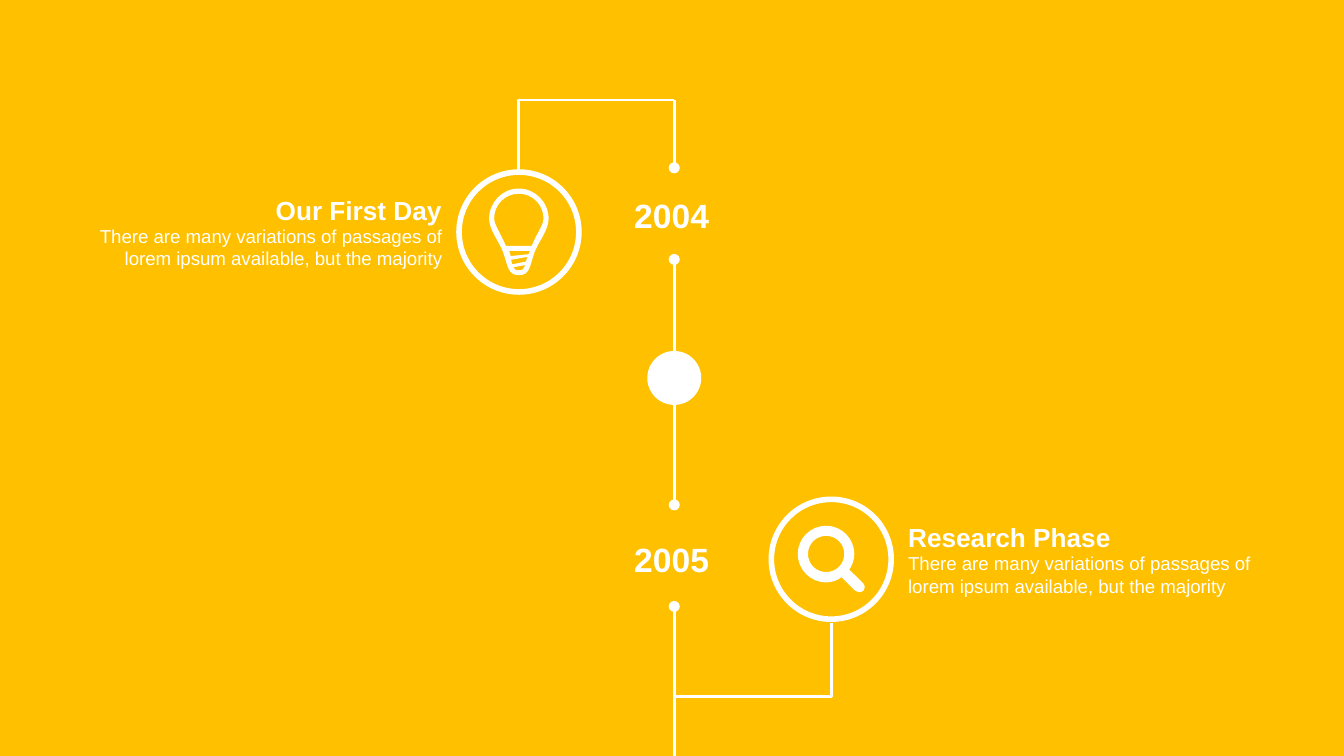
from lxml.etree import SubElement
from pptx import Presentation
from pptx.dml.color import RGBColor
from pptx.enum.shapes import MSO_CONNECTOR, MSO_SHAPE
from pptx.enum.text import MSO_ANCHOR, PP_ALIGN
from pptx.oxml.ns import qn
from pptx.util import Pt

WIDTH, HEIGHT = 720, 405
COLORS = {"background": "FFC000", "foreground": "FFFFFF"}
AXIS_X = 361.2
RING_SIZE = 64.2
BODY_WIDTH = 198.7
BODY_TEXT = "There are many variations of passages of lorem ipsum available, but the majority"

# Each contour is a start point, then segments of one point (line) or three (Bezier curve).
BULB = [
    [(277.9, 101),
     [(269.1, 101), (262, 108.4), (262, 117.2)],
     [(262, 123.2), (267.6, 129.6), (269.4, 134.8)],
     [(272.2, 142.6), (272, 147.4), (277.9, 147.4)],
     [(284, 147.4), (283.6, 143), (286.5, 134.8)],
     [(288.5, 129.6), (293.9, 123.2), (293.9, 117.2)],
     [(293.9, 108.4), (286.7, 101), (277.9, 101)]],
    [(284.8, 131.8), [(271.1, 131.8)],
     [(270.4, 130.3), (269.5, 128.4), (268.6, 126.6)],
     [(266.9, 123.2), (264.7, 119.6), (264.7, 117.2)],
     [(264.7, 109.6), (270.6, 103.8), (277.9, 103.8)],
     [(285.2, 103.8), (291.2, 109.6), (291.2, 117.2)],
     [(291.2, 119.6), (289, 123.2), (287.2, 126.6)],
     [(286.3, 128.4), (285.5, 130.3), (284.8, 131.8)]],
    [(272.8, 134.4), [(283.9, 134.4)], [(283.1, 136.2)], [(273.6, 137.2)]],
    [(273.8, 139.2), [(282.6, 137.6)], [(281.7, 140.2)], [(274.4, 141.6)]],
    [(277.9, 144.8),
     [(276.4, 144.8), (275.6, 144.6), (275, 143.2)], [(281.4, 142)],
     [(280.2, 144.6), (280, 144.8), (277.9, 144.8)]],
]
MAGNIFIER = [
    [(460.8, 317.3),
     [(459.7, 317.3), (458.7, 316.9), (457.9, 316.2)], [(450.9, 309.2)],
     [(448.6, 311), (445.7, 312), (442.6, 312)],
     [(434.2, 312), (427.4, 305.2), (427.4, 296.8)],
     [(427.4, 288.5), (434.2, 281.7), (442.6, 281.7)],
     [(450.9, 281.7), (457.7, 288.5), (457.7, 296.8)],
     [(457.7, 299.8), (456.7, 302.7), (455, 305.2)], [(462.2, 312.2)],
     [(462.9, 312.9), (463.3, 313.7), (463.3, 314.7)],
     [(463.3, 316.2), (462.2, 317.3), (460.8, 317.3)]],
    [(442.6, 287.1),
     [(437.2, 287.1), (432.9, 291.4), (432.9, 296.8)],
     [(432.9, 302.2), (437.2, 306.5), (442.6, 306.5)],
     [(448, 306.5), (452.3, 302.2), (452.3, 296.8)],
     [(452.3, 291.4), (448, 287.1), (442.6, 287.1)]],
]


class TimelineSlide:
    """Holds the style and the current slide."""

    font_name = "Arial"
    line_width = 1.5

    def __init__(self, slide):
        self.slide = slide
        self.shapes = slide.shapes

    def color(self, name):
        return RGBColor.from_string(COLORS[name])

    def paint(self, shape, fill=None, line_width=None):
        shape.shadow.inherit = False
        if fill:
            shape.fill.solid()
            shape.fill.fore_color.rgb = self.color(fill)
        else:
            shape.fill.background()
        if line_width:
            shape.line.color.rgb = self.color("foreground")
            shape.line.width = Pt(line_width)
        else:
            shape.line.fill.background()

    def background(self):
        shape = self.shapes.add_shape(MSO_SHAPE.RECTANGLE, 0, 0, Pt(WIDTH), Pt(HEIGHT))
        self.paint(shape, fill="background")

    def circle(self, center_x, center_y, size, **style):
        shape = self.shapes.add_shape(MSO_SHAPE.OVAL, Pt(center_x - size / 2),
                                      Pt(center_y - size / 2), Pt(size), Pt(size))
        self.paint(shape, **style)

    def connector(self, start, end, kind=MSO_CONNECTOR.STRAIGHT, dots=()):
        """Draw a line; dots names the ends ("headEnd", "tailEnd") that get an oval."""
        line = self.shapes.add_connector(kind, *map(Pt, (*start, *end)))
        line.line.color.rgb = self.color("foreground")
        line.line.width = Pt(self.line_width)
        properties = line._element.spPr
        for end_name in dots:
            SubElement(properties.find(qn("a:ln")), qn(f"a:{end_name}"), type="oval")
        SubElement(properties, qn("a:effectLst"))
        return line

    def corner(self, start, end):
        """Draw a connector with one bend, leaving its start horizontally."""
        line = self.connector(start, end, kind=MSO_CONNECTOR.ELBOW)
        line._element.spPr.find(qn("a:prstGeom")).set("prst", "bentConnector2")

    def icon(self, contours):
        """Build the contours from their end points, then turn lines into Bezier curves."""
        builder = self.shapes.build_freeform(*map(Pt, contours[0][0]))
        for index, (start, *segments) in enumerate(contours):
            if index:
                builder.move_to(*map(Pt, start))
            ends = [tuple(map(Pt, segment[-1])) for segment in segments]
            builder.add_line_segments(ends, close=True)
        shape = builder.convert_to_shape()
        self.paint(shape, fill="foreground")

        all_segments = [segment for _, *segments in contours for segment in segments]
        lines = list(shape._element.iter(qn("a:lnTo")))
        for line, segment in zip(lines, all_segments):
            if len(segment) == 3:
                curve = line.getparent().makeelement(qn("a:cubicBezTo"))
                for x, y in segment:
                    SubElement(curve, qn("a:pt"), x=str(Pt(x) - shape.left),
                               y=str(Pt(y) - shape.top))
                line.getparent().replace(line, curve)

    def text(self, text, left, top, width, height, size=10, bold=False,
             align=PP_ALIGN.LEFT, anchor=MSO_ANCHOR.MIDDLE, wrap=False):
        box = self.shapes.add_textbox(*map(Pt, (left, top, width, height)))
        frame = box.text_frame
        frame.margin_left = frame.margin_right = frame.margin_top = frame.margin_bottom = 0
        frame.word_wrap = wrap
        frame.vertical_anchor = anchor
        paragraph = frame.paragraphs[0]
        paragraph.text = text
        paragraph.alignment = align
        font = paragraph.font
        font.name, font.size, font.bold = self.font_name, Pt(size), bold
        font.color.rgb = self.color("foreground")
        return box

    def milestone(self, year, year_top, title, title_width, center, icon, align):
        center_x, center_y = center
        top = center_y - 20.4
        if align == PP_ALIGN.RIGHT:
            title_left, body_left = 236.7 - title_width, 236.7 - BODY_WIDTH
        else:
            title_left = body_left = 486.5
        self.text(year, 339.8, year_top, 40.3, 21.6, size=18, bold=True)
        self.circle(center_x, center_y, RING_SIZE, line_width=3)
        self.icon(icon)
        heading = self.text(title, title_left, top, title_width, 17, size=14, bold=True,
                            align=align)
        body = self.text(BODY_TEXT, body_left, top + 16.6, BODY_WIDTH, 24.5, align=align,
                         anchor=MSO_ANCHOR.TOP, wrap=True)
        self.shapes.add_group_shape([heading, body])


def main():
    presentation = Presentation()
    presentation.slide_width, presentation.slide_height = Pt(WIDTH), Pt(HEIGHT)
    timeline = TimelineSlide(presentation.slides.add_slide(presentation.slide_layouts[6]))

    timeline.background()
    for top, bottom, dots in [
        (324.9, HEIGHT, ["headEnd"]),
        (202.5, 270.5, ["headEnd", "tailEnd"]),
        (139, 202.5, ["headEnd", "tailEnd"]),
        (53.7, 89.9, ["tailEnd"]),
    ]:
        timeline.connector((AXIS_X, top), (AXIS_X, bottom), dots=dots)
    timeline.circle(AXIS_X, HEIGHT / 2, 27.4, fill="foreground", line_width=1.5)

    timeline.milestone("2004", 104.4, "Our First Day", 89.3, (278, 124.3),
                       BULB, PP_ALIGN.RIGHT)
    timeline.corner((AXIS_X, 53.6), (277.9, 92.5))
    timeline.milestone("2005", 288.7, "Research Phase", 108.7, (445.3, 299.6),
                       MAGNIFIER, PP_ALIGN.LEFT)
    timeline.corner((AXIS_X, 373.4), (445.4, 334))
    presentation.save("out.pptx")


if __name__ == "__main__":
    main()
